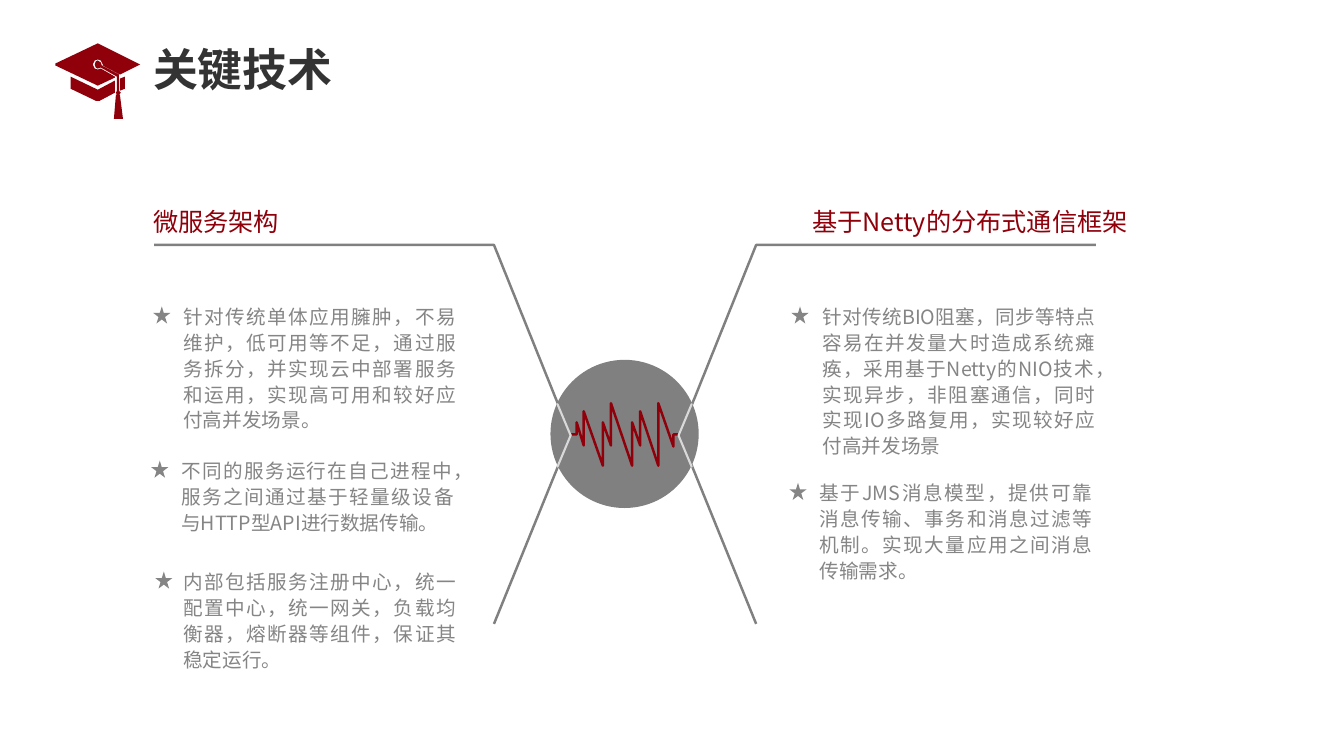
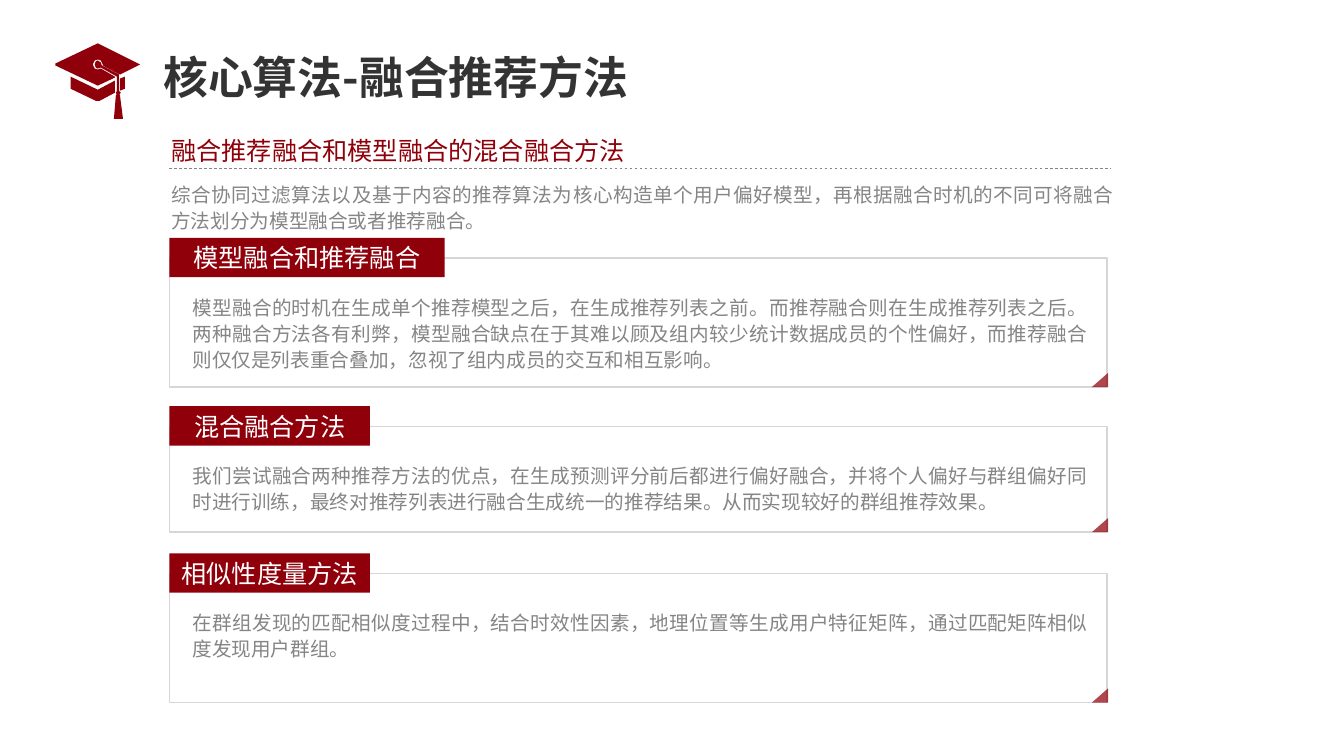
from lxml import etree
from pptx import Presentation
from pptx.dml.color import RGBColor
from pptx.enum.dml import MSO_LINE
from pptx.enum.lang import MSO_LANGUAGE_ID
from pptx.enum.shapes import MSO_CONNECTOR, MSO_SHAPE
from pptx.enum.text import MSO_ANCHOR, PP_ALIGN
from pptx.oxml.ns import qn
from pptx.util import Inches, Pt

LEFT, CENTER, RIGHT, JUST = PP_ALIGN.LEFT, PP_ALIGN.CENTER, PP_ALIGN.RIGHT, PP_ALIGN.JUSTIFY
TOP, MIDDLE = MSO_ANCHOR.TOP, MSO_ANCHOR.MIDDLE
RECT, OVAL, STAR = MSO_SHAPE.RECTANGLE, MSO_SHAPE.OVAL, MSO_SHAPE.STAR_5_POINT
CHEVRON, CORNER = MSO_SHAPE.CHEVRON, MSO_SHAPE.ISOSCELES_TRIANGLE
STRAIGHT, DASH = MSO_CONNECTOR.STRAIGHT, MSO_LINE.DASH
CHINESE = MSO_LANGUAGE_ID.SIMPLIFIED_CHINESE

FONT = "Noto Sans CJK SC"
COLORS = {
    "red": "8F000B",
    "dark": "333333",
    "text": "858585",
    "gray": "808080",
    "edge": "D6D6D6",
    "pale": "D9D9D9",
    "white": "FFFFFF",
}
STYLES = {
    "title": {"size": 32, "bold": True, "color": "dark", "space": 0.9, "anchor": MIDDLE},
    "head": {"size": 18, "bold": False, "color": "red", "space": Pt(21.5), "anchor": TOP},
    "label": {"size": 18, "bold": False, "color": "white", "space": Pt(21.5), "anchor": TOP},
    "body": {"size": 14, "bold": False, "color": "text", "space": Pt(18.5), "anchor": TOP},
}


def paint(shape, fill=None, line=None, width=1):
    """Set fill and line by colour name; None leaves either empty."""
    shape.shadow.inherit = False
    if fill:
        shape.fill.solid()
        shape.fill.fore_color.rgb = RGBColor.from_string(COLORS[fill])
    else:
        shape.fill.background()
    if line:
        shape.line.color.rgb = RGBColor.from_string(COLORS[line])
        shape.line.width = Pt(width)
    else:
        shape.line.fill.background()


def write(slide, text, box, style, align=LEFT):
    look = STYLES[style]
    frame = slide.shapes.add_textbox(*map(Inches, box)).text_frame
    frame.word_wrap = True
    frame.vertical_anchor = look["anchor"]
    para = frame.paragraphs[0]
    para.alignment = align
    para.line_spacing = look["space"]
    run = para.add_run()
    run.text = text
    run.font.color.rgb = RGBColor.from_string(COLORS[look["color"]])
    values = {"name": FONT, "size": Pt(look["size"]), "bold": look["bold"], "language_id": CHINESE}
    for key, value in values.items():
        setattr(run.font, key, value)
    east = etree.SubElement(run.font._element, qn("a:ea"))
    east.set("typeface", FONT)


deck = Presentation()
deck.slide_width, deck.slide_height = Inches(13.33), Inches(7.5)
tech, core = [deck.slides.add_slide(deck.slide_layouts[6]) for _ in range(2)]

# Outlines: the cap on both slides, the pulse and the arms around the hub
CAP = [
    [(1.19, 0.9), (1.24, 0.88), (1.24, 0.76), (1.19, 0.78)],
    [(0.7, 0.76), (0.7, 0.88), (0.95, 1), (0.99, 1), (1.14, 0.92), (1.14, 0.8), (0.97, 0.89)],
    [(1.18, 0.75), (1.18, 0.74), (1.01, 0.65), (1, 0.62), (0.97, 0.6), (0.95, 0.61),
     (0.94, 0.64), (0.95, 0.67), (0.97, 0.68), (1, 0.67), (1.16, 0.76)],
    [(1.39, 0.64), (0.97, 0.43), (0.55, 0.63), (0.55, 0.65), (0.97, 0.85), (1.14, 0.77),
     (1.14, 0.76), (1, 0.68), (0.97, 0.69), (0.94, 0.68), (0.92, 0.64), (0.94, 0.6),
     (0.97, 0.59), (1, 0.6), (1.02, 0.64), (1.02, 0.65), (1.19, 0.74)],
    [(1.18, 0.75), (1.18, 0.9), (1.2, 0.92), (1.18, 0.94), (1.19, 0.94), (1.22, 1.18),
     (1.13, 1.18), (1.15, 0.94), (1.16, 0.94), (1.15, 0.92), (1.16, 0.9), (1.16, 0.76)],
]
PULSE = [
    (5.66, 4.31), (5.72, 4.31), (5.72, 4.19), (5.79, 4.42), (5.79, 4.08), (5.98, 4.62),
    (5.98, 4.19), (6.06, 4.42), (6.06, 4), (6.27, 4.62), (6.27, 4.19), (6.35, 4.42),
    (6.35, 4.08), (6.53, 4.62), (6.53, 4), (6.68, 4.43), (6.68, 4.31), (6.73, 4.31),
]
ARM = [(1.53, 2.43), (4.9, 2.43), (5.66, 4.32), (4.9, 6.19)]
MIRROR = [(12.4 - x, y) for x, y in ARM]

hub = tech.shapes.add_shape(OVAL, *map(Inches, (5.46, 3.57, 1.47, 1.47)))
paint(hub, "gray")

for slide, loops, fill, line in [
    (tech, CAP, "red", None),
    (core, CAP, "red", None),
    (tech, [PULSE], None, "red"),
    (tech, [ARM], None, "gray"),
    (tech, [MIRROR], None, "gray"),
]:
    pen = slide.shapes.build_freeform(*map(Inches, loops[0][0]))
    for index, loop in enumerate(loops):
        points = [(Inches(x), Inches(y)) for x, y in loop]
        if index:
            pen.move_to(*points[0])
        pen.add_line_segments(points[1:], close=bool(fill))
    paint(pen.convert_to_shape(), fill, line, 1.75)

# Slide 1: two columns of starred points
write(tech, "关键技术", (1.42, 0.34, 5.75, 0.75), "title")

for left, turn in [(5.53, 0), (6.73, 180)]:
    tip = tech.shapes.add_shape(CHEVRON, *map(Inches, (left, 4.01, 0.13, 0.62)))
    tip.adjustments[0] = 1
    tip.rotation = turn
    paint(tip, "red", "pale", 1.5)

write(tech, "微服务架构", (1.42, 2, 3.31, 0.4), "head")
write(tech, "基于Netty的分布式通信框架 ", (7.67, 2, 3.67, 0.4), "head", RIGHT)

POINTS = [
    (1.72, 2.95, 1.38, 1.52, "针对传统单体应用臃肿，不易维护，低可用等不足，通过服务拆分，"
     "并实现云中部署服务和运用，实现高可用和较好应付高并发场景。"),
    (1.7, 4.48, 0.86, 1.5, "不同的服务运行在自己进程中，服务之间通过基于轻量级设备"
     "与HTTP型API进行数据传输。"),
    (1.72, 5.58, 1.12, 1.54, "内部包括服务注册中心，统一配置中心，统一网关，负载均衡器，"
     "熔断器等组件，保证其稳定运行。"),
    (8.06, 2.95, 1.64, 7.85, "针对传统BIO阻塞，同步等特点容易在并发量大时造成系统瘫痪，"
     "采用基于Netty的NIO技术，实现异步，非阻塞通信，同时实现IO多路复用，"
     "实现较好应付高并发场景"),
    (8.03, 4.7, 1.12, 7.83, "基于JMS消息模型，提供可靠消息传输、事务和消息过滤等机制。"
     "实现大量应用之间消息传输需求。"),
]
for left, top, height, mark, text in POINTS:
    write(tech, text, (left, top, 2.9, height), "body", JUST)
    star = tech.shapes.add_shape(STAR, *map(Inches, (mark, top + 0.09, 0.17, 0.17)))
    paint(star, "text")

# Slide 2: an intro above three labelled panels
write(core, "核心算法-融合推荐方法", (1.52, 0.42, 5.75, 0.75), "title")
write(core, "综合协同过滤算法以及基于内容的推荐算法为核心构造单个用户偏好模型，"
      "再根据融合时机的不同可将融合方法划分为模型融合或者推荐融合。",
      (1.6, 1.74, 9.55, 0.62), "body", JUST)
write(core, "融合推荐融合和模型融合的混合融合方法", (1.6, 1.29, 9.42, 0.4), "head")

rule = core.shapes.add_connector(STRAIGHT, *map(Inches, (1.68, 1.67, 11.01, 1.67)))
rule.line.color.rgb = RGBColor.from_string(COLORS["text"])
rule.line.width = Pt(0.5)
rule.line.dash_style = DASH
etree.SubElement(rule._element.spPr, qn("a:effectLst"))

PANELS = [
    (2.56, 1.28, 2.73, "模型融合和推荐融合",
     "模型融合的时机在生成单个推荐模型之后，在生成推荐列表之前。"
     "而推荐融合则在生成推荐列表之后。两种融合方法各有利弊，"
     "模型融合缺点在于其难以顾及组内较少统计数据成员的个性偏好，"
     "而推荐融合则仅仅是列表重合叠加，忽视了组内成员的交互和相互影响。"),
    (4.23, 1.05, 1.99, "混合融合方法",
     "我们尝试融合两种推荐方法的优点，在生成预测评分前后都进行偏好融合，"
     "并将个人偏好与群组偏好同时进行训练，最终对推荐列表进行融合生成统一的推荐结果。"
     "从而实现较好的群组推荐效果。"),
    (5.69, 1.28, 1.99, "相似性度量方法",
     "在群组发现的匹配相似度过程中，结合时效性因素，地理位置等生成用户特征矩阵，"
     "通过匹配矩阵相似度发现用户群组。"),
]
for top, height, width, label, text in PANELS:
    panel = core.shapes.add_shape(RECT, *map(Inches, (1.68, top, 9.3, height)))
    paint(panel, None, "edge")
    write(core, text, (1.81, top + 0.3, 9.08, height - 0.4), "body", JUST)
    tab = (1.68, top - 0.2, width, 0.39)
    paint(core.shapes.add_shape(RECT, *map(Inches, tab)), "red")
    write(core, label, tab, "label", CENTER)
    fold = core.shapes.add_shape(CORNER, *map(Inches, (10.83, top + height - 0.14, 0.16, 0.14)))
    fold.adjustments[0] = 1
    paint(fold, "red")
    tint = fold._element.spPr.find(qn("a:solidFill"))[0]
    etree.SubElement(tint, qn("a:alpha")).set("val", "72000")

deck.save("out.pptx")
